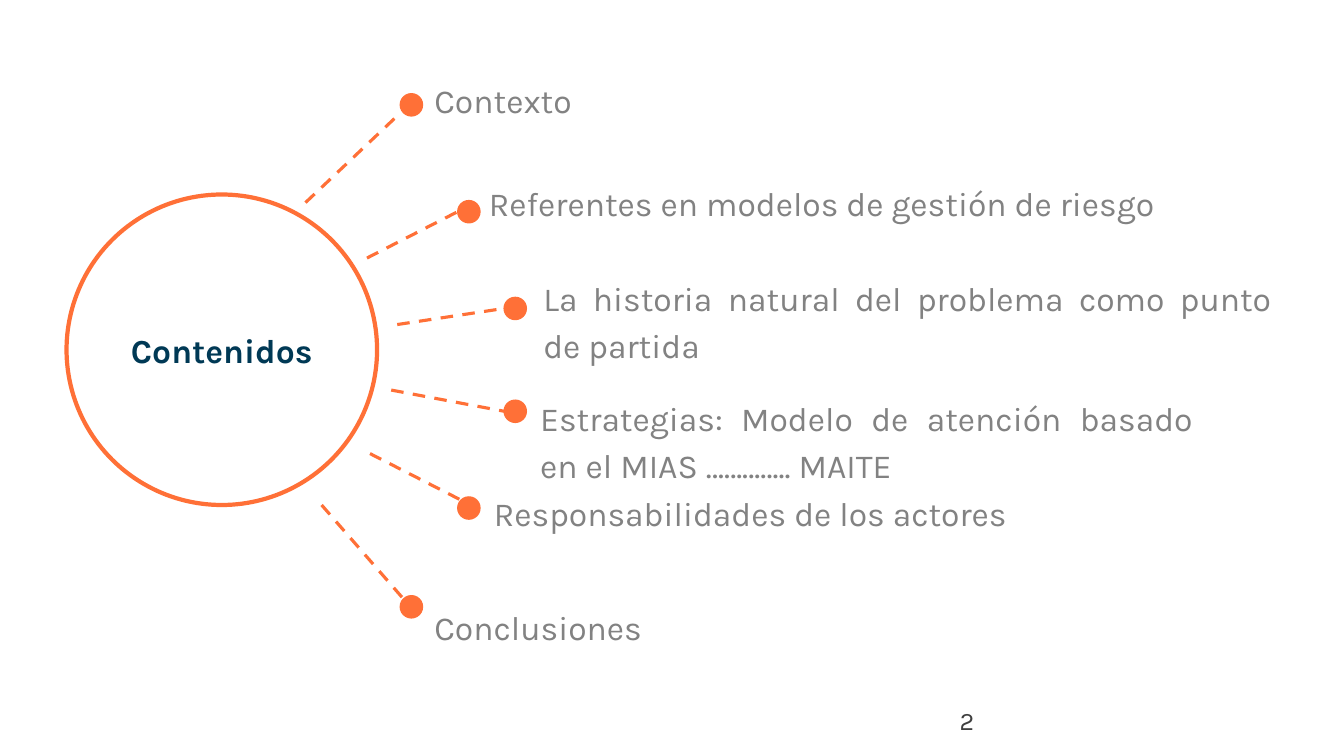
from pptx import Presentation
from pptx.dml.color import RGBColor
from pptx.enum.dml import MSO_LINE
from pptx.enum.shapes import MSO_CONNECTOR, MSO_SHAPE
from pptx.enum.text import MSO_ANCHOR, MSO_AUTO_SIZE, PP_ALIGN
from pptx.oxml.ns import qn
from pptx.util import Inches, Pt
from lxml import etree

ORANGE = RGBColor(0xFF, 0x70, 0x37)
NAVY = RGBColor(0x00, 0x39, 0x55)
GREY = RGBColor(0x82, 0x82, 0x82)
CHARCOAL = RGBColor(0x3F, 0x3F, 0x3F)
DASH = MSO_LINE.DASH
OVAL = MSO_SHAPE.OVAL
STRAIGHT = MSO_CONNECTOR.STRAIGHT
TOP, MIDDLE = MSO_ANCHOR.TOP, MSO_ANCHOR.MIDDLE
GROW = MSO_AUTO_SIZE.SHAPE_TO_FIT_TEXT
LEFT, CENTER, JUSTIFY = PP_ALIGN.LEFT, PP_ALIGN.CENTER, PP_ALIGN.JUSTIFY

COLUMNS, ROWS = 133.3, 75
TITLE_ONLY = 5
DOT = 2.2
HUB = (6.6, 19.3, 30.8, 30.8)

# Text, text box (left, top, width, height), dot corner, spoke start, spoke end
TOPICS = [
    ("Contexto", (42.1, 6.8, 79.1, 5.4),
     (39.7, 9.3), (30.3, 20.1), (39.4, 11.5)),
    ("Referentes en modelos de gestión de riesgo", (47.5, 17.1, 74.2, 5.4),
     (45.4, 19.9), (36.4, 25.6), (45.4, 21)),
    ("La historia natural del problema como punto de partida", (52.9, 26.5, 74.2, 10.3),
     (50, 29.5), (39.4, 32.2), (50, 30.6)),
    ("Estrategias: Modelo de atención basado en el MIAS ………….. MAITE", (52.6, 38.4, 66.7, 10.3),
     (50, 39.7), (38.8, 38.7), (50, 40.8)),
    ("Responsabilidades de los actores", (48, 47.8, 66.7, 5.4),
     (45.4, 49.3), (36.7, 45), (45.7, 49.6)),
    ("Conclusiones", (42.1, 59.1, 66.7, 5.4),
     (39.7, 59.1), (31.9, 50.1), (40, 59.4)),
]


class SlideBuilder:
    """Draws styled elements on one slide, measured in grid columns and rows."""

    font = "Karla"

    def __init__(self, deck):
        self.column = deck.slide_width / COLUMNS
        self.row = deck.slide_height / ROWS
        self.slide = deck.slides.add_slide(deck.slide_layouts[TITLE_ONLY])

    def place(self, *lengths):
        units = (self.column, self.row) * 2
        return [round(length * unit) for length, unit in zip(lengths, units)]

    def set_text(self, box, text, size, color, align, anchor, bold=False):
        frame = box.text_frame
        frame.word_wrap = True
        frame.vertical_anchor = anchor
        frame.text = text
        para = frame.paragraphs[0]
        para.alignment = align
        for span in para.runs:
            span.font.name = self.font
            span.font.size = Pt(size)
            span.font.bold = bold
            span.font.color.rgb = color
        return para

    def title(self, text, area):
        box = self.slide.shapes.title
        box.left, box.top, box.width, box.height = self.place(*area)
        self.set_text(box, text, 24, NAVY, CENTER, MIDDLE, bold=True)

    def label(self, text, area, size, color, align=LEFT):
        box = self.slide.shapes.add_textbox(*self.place(*area))
        return box, self.set_text(box, text, size, color, align, TOP)

    def topic(self, text, area):
        box, para = self.label(text, area, 24, GREY, JUSTIFY)
        para.line_spacing = 1.15
        box.text_frame.auto_size = GROW

    def circle(self, area, line_width, filled=True):
        circle = self.slide.shapes.add_shape(OVAL, *self.place(*area))
        circle.shadow.inherit = False
        circle.line.color.rgb = ORANGE
        circle.line.width = Pt(line_width)
        if filled:
            circle.fill.solid()
            circle.fill.fore_color.rgb = ORANGE
        else:
            circle.fill.background()

    def spoke(self, start, end):
        spoke = self.slide.shapes.add_connector(STRAIGHT, *self.place(*start, *end))
        spoke.line.color.rgb = ORANGE
        spoke.line.width = Pt(2.25)
        spoke.line.dash_style = DASH
        etree.SubElement(spoke._element.spPr, qn("a:effectLst"))


def main():
    deck = Presentation()
    deck.slide_width, deck.slide_height = Inches(13.33), Inches(7.5)
    page = SlideBuilder(deck)
    page.circle(HUB, 3, filled=False)
    page.title("Contenidos", HUB)
    for text, area, dot, start, end in TOPICS:
        page.spoke(start, end)
        page.circle((*dot, DOT, DOT), 1)
        page.topic(text, area)
    page.label("2", (94.2, 69.5, 30, 4), 18, CHARCOAL)
    deck.save("out.pptx")


if __name__ == "__main__":
    main()
